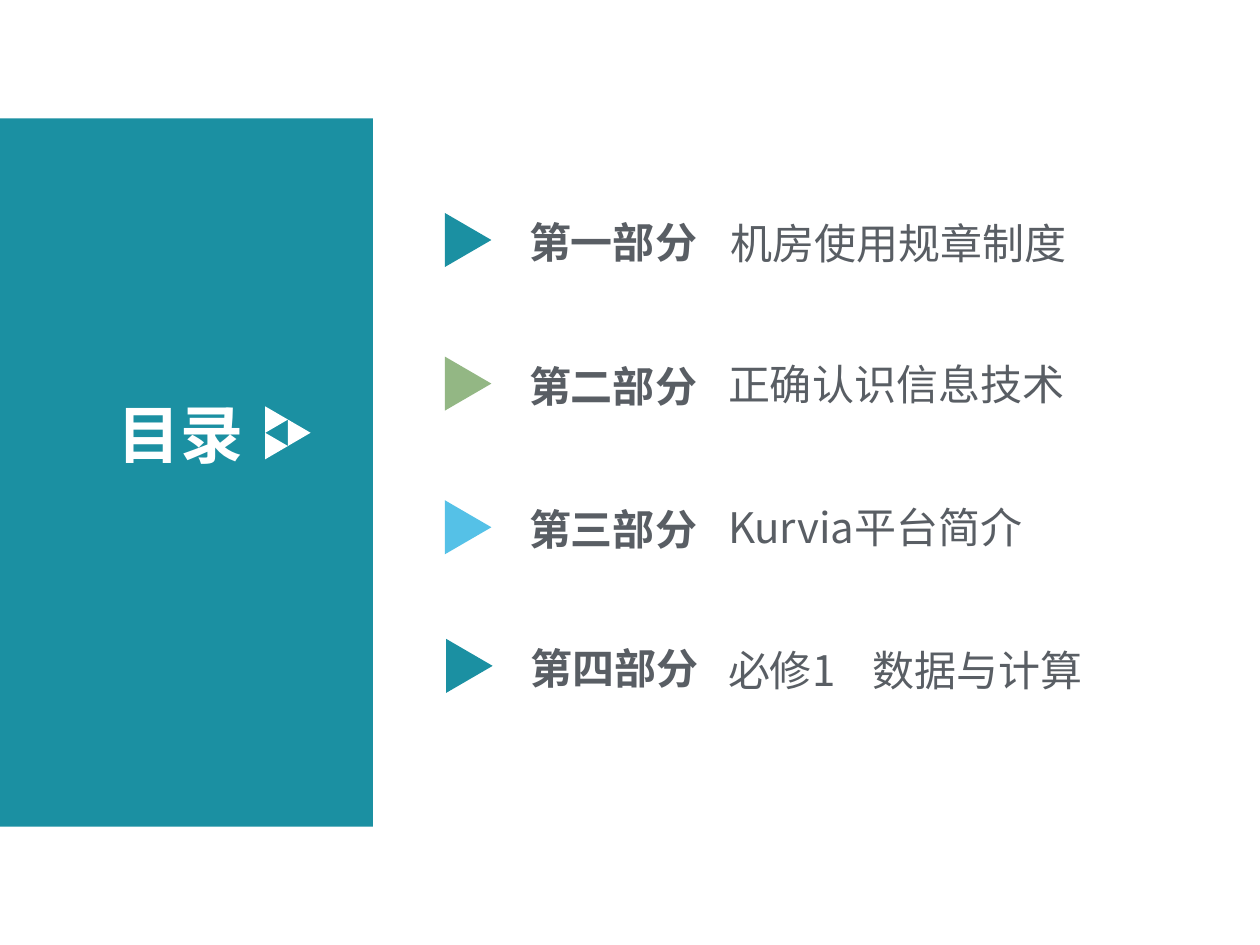
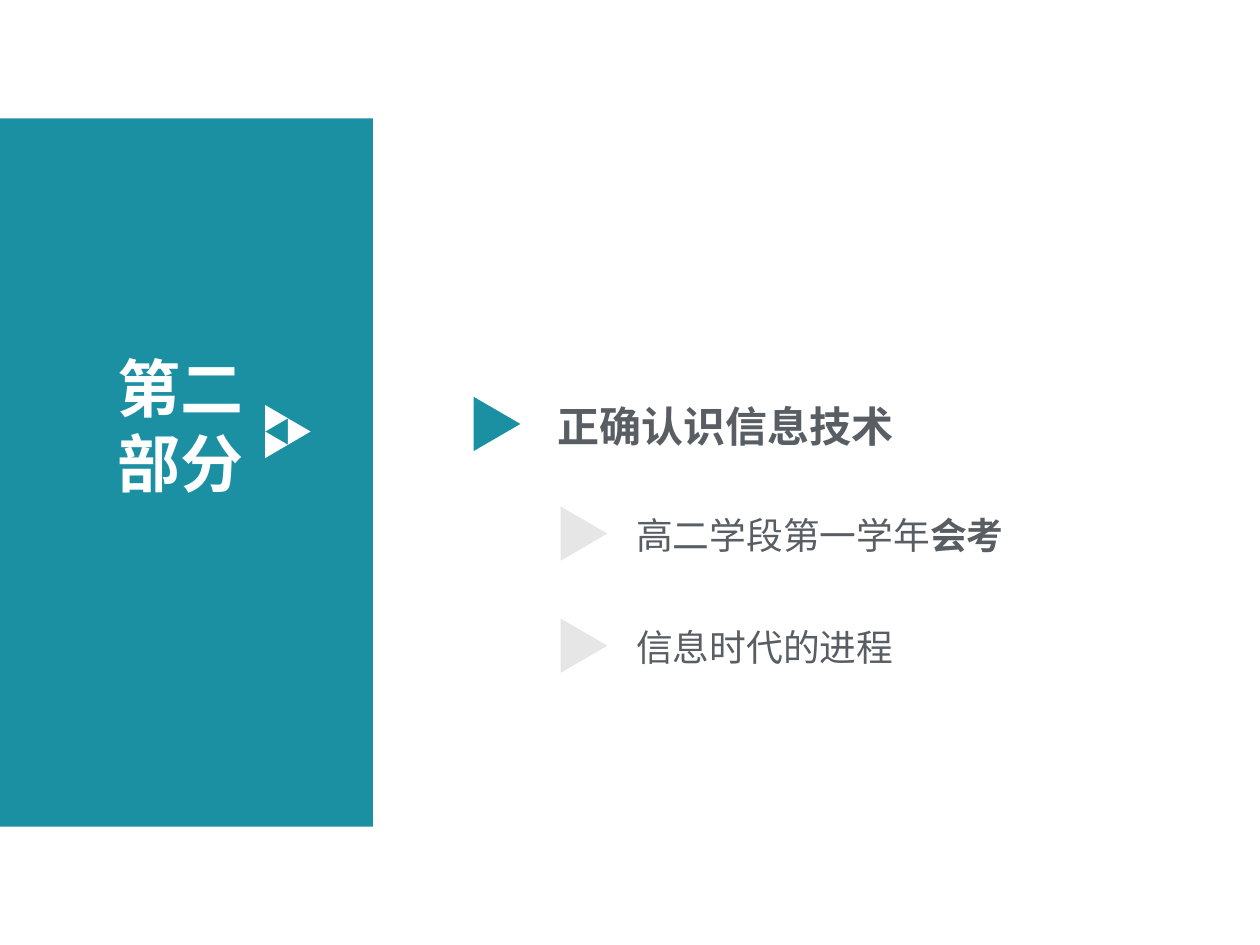
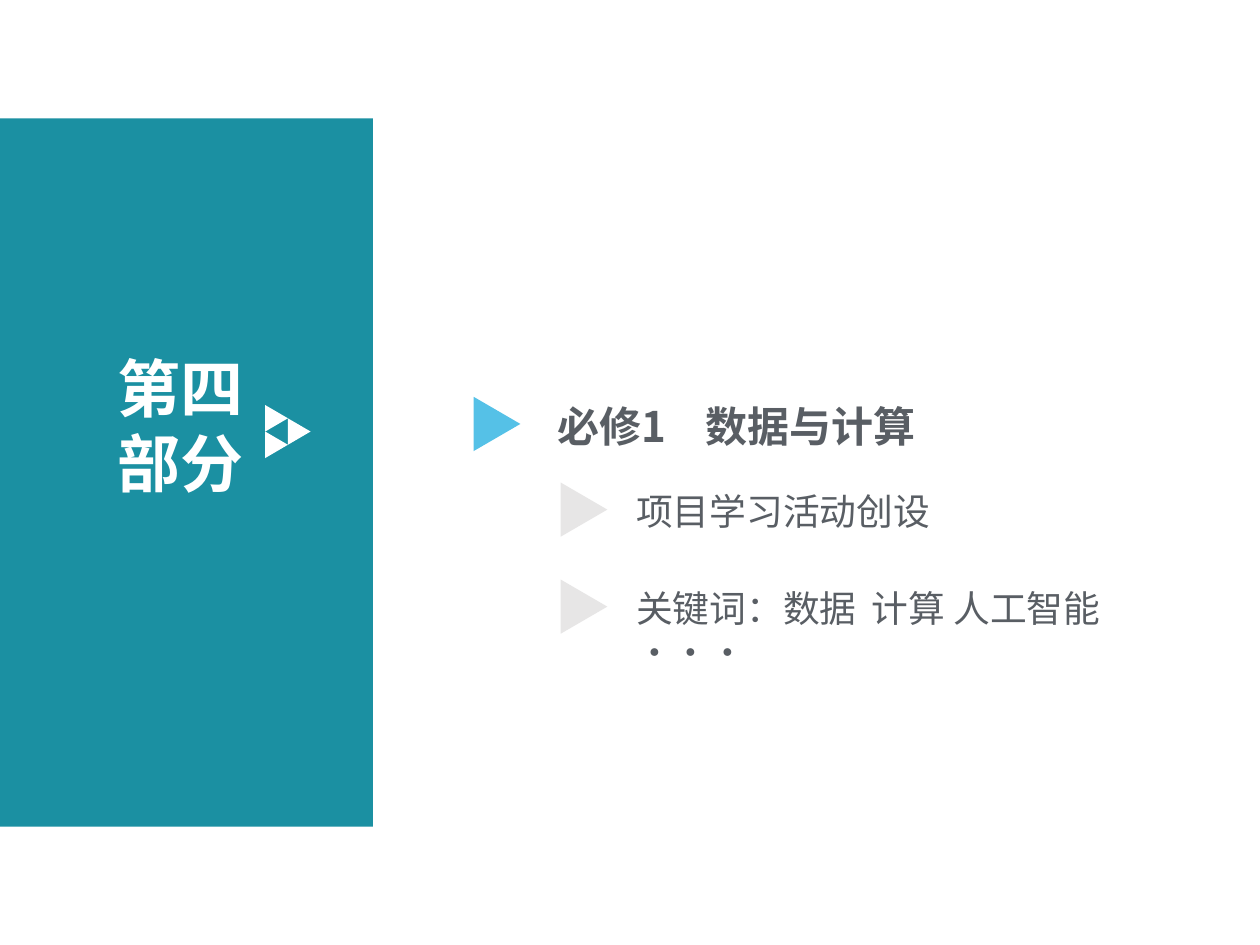
from dataclasses import dataclass

from lxml import etree
from pptx import Presentation
from pptx.dml.color import RGBColor
from pptx.enum.shapes import MSO_SHAPE
from pptx.enum.text import MSO_ANCHOR, MSO_AUTO_SIZE, PP_ALIGN
from pptx.oxml.ns import qn
from pptx.shapes.autoshape import Shape
from pptx.slide import Slide
from pptx.text.text import _Paragraph as Paragraph
from pptx.util import Inches, Pt

FONT = "Noto Sans CJK SC"
TEAL, GREEN, SKY = "1B90A2", "93B784", "55C1E7"
GREY, SLATE, WHITE = "E7E6E6", "595E64", "FFFFFF"


@dataclass
class Marker:
    """A right-pointing triangle, placed by its unrotated frame."""
    left: float
    top: float
    color: str
    width: float = 0.43
    height: float = 0.37


@dataclass
class Label:
    left: float
    top: float
    width: float
    text: str
    size: int = 24
    bold: bool = False
    bold_tail: str = ""
    tab_stop: float = 0


@dataclass
class Entry:
    marker: Marker
    labels: list[Label]


@dataclass
class Page:
    title: str
    title_top: float
    title_height: float
    emblem_top: float
    entries: list[Entry]


def rgb(color: str) -> RGBColor:
    return RGBColor.from_string(color)


def add_solid(slide: Slide, kind: MSO_SHAPE, left: float, top: float,
              width: float, height: float, color: str) -> Shape:
    shape = slide.shapes.add_shape(kind, Inches(left), Inches(top), Inches(width), Inches(height))
    shape.shadow.inherit = False
    shape.fill.solid()
    shape.fill.fore_color.rgb = rgb(color)
    shape.line.fill.background()
    return shape


def add_marker(slide: Slide, marker: Marker) -> None:
    triangle = add_solid(slide, MSO_SHAPE.ISOSCELES_TRIANGLE, marker.left, marker.top,
                         marker.width, marker.height, marker.color)
    triangle.rotation = 90


def format_runs(paragraph: Paragraph, size: int, color: str, bold: bool) -> None:
    for span in paragraph.runs:
        span.font.name = FONT
        span.font.size = Pt(size)
        span.font.bold = bold
        span.font.color.rgb = rgb(color)
        east_asian = etree.SubElement(span._r.get_or_add_rPr(), qn("a:ea"))
        east_asian.set("typeface", FONT)


def add_tab_stop(paragraph: Paragraph, position: float) -> None:
    tabs = etree.SubElement(paragraph._p.get_or_add_pPr(), qn("a:tabLst"))
    etree.SubElement(tabs, qn("a:tab"), pos=str(Inches(position)), algn="l")


def add_label(slide: Slide, label: Label) -> None:
    box = slide.shapes.add_textbox(Inches(label.left), Inches(label.top),
                                   Inches(label.width), Inches(0.5))
    box.text_frame.word_wrap = True
    para = box.text_frame.paragraphs[0]
    para.text = label.text
    if label.bold_tail:
        para.add_run().text = label.bold_tail
    format_runs(para, label.size, SLATE, label.bold)
    if label.bold_tail:
        para.runs[-1].font.bold = True
    if label.tab_stop:
        add_tab_stop(para, label.tab_stop)


def add_panel(slide: Slide) -> None:
    """Side band, sent behind the title."""
    panel = add_solid(slide, MSO_SHAPE.RECTANGLE, 0, 0.94, 2.96, 5.62, TEAL)
    panel.element.getparent().insert(2, panel.element)


def add_emblem(slide: Slide, top: float) -> None:
    width, height = 0.21, 0.18
    for column, row in ((0, 0), (0, 1), (1, 0.5)):
        add_marker(slide, Marker(2.09 + column * height, top + row * width, WHITE, width, height))


def set_title(slide: Slide, page: Page) -> None:
    title = slide.shapes.title
    title.left, title.top = Inches(0.83), Inches(page.title_top)
    title.width, title.height = Inches(1.31), Inches(page.title_height)
    frame = title.text_frame
    frame.text = page.title
    frame.word_wrap = True
    frame.auto_size = MSO_AUTO_SIZE.SHAPE_TO_FIT_TEXT
    frame.vertical_anchor = MSO_ANCHOR.TOP
    frame.paragraphs[0].alignment = PP_ALIGN.LEFT
    format_runs(frame.paragraphs[0], 36, WHITE, True)


def contents_entry(left: float, top: float, color: str, part: str, topic: Label) -> Entry:
    return Entry(Marker(left, top, color),
                 [Label(left + 0.6, top - 0.05, 1.59, part, bold=True), topic])


def heading_entry(color: str, text: str, tab_stop: float = 0) -> Entry:
    return Entry(Marker(3.73, 3.18, color),
                 [Label(4.33, 3.13, 4.3, text, bold=True, tab_stop=tab_stop)])


def detail_entry(top: float, text: str, bold_tail: str = "", tab_stop: float = 0) -> Entry:
    return Entry(Marker(4.42, top, GREY),
                 [Label(4.95, top - 0.03, 4.7, text, 21, False, bold_tail, tab_stop)])


def section_page(title: str, entries: list[Entry]) -> Page:
    return Page(title, 2.72, 1.31, 3.23, entries)


PAGES = [
    Page("目录", 3.09, 0.7, 3.24, [
        contents_entry(3.5, 1.72, TEAL, "第一部分", Label(5.7, 1.68, 3.64, "机房使用规章制度")),
        contents_entry(3.5, 2.86, GREEN, "第二部分", Label(5.68, 2.8, 3.64, "正确认识信息技术")),
        contents_entry(3.5, 4, SKY, "第三部分", Label(5.68, 3.93, 3.64, "Kurvia平台简介")),
        contents_entry(3.51, 5.1, TEAL, "第四部分",
                       Label(5.68, 5.07, 4.03, "必修1\t数据与计算", tab_stop=1.15)),
    ]),
    section_page("第二部分", [
        heading_entry(TEAL, "正确认识信息技术"),
        detail_entry(4.05, "高二学段第一学年", bold_tail="会考"),
        detail_entry(4.94, "信息时代的进程"),
    ]),
    section_page("第四部分", [
        heading_entry(SKY, "必修1\t数据与计算", tab_stop=1.17),
        detail_entry(3.86, "项目学习活动创设"),
        detail_entry(4.63, "关键词：数据\t计算 人工智能···", tab_stop=1.87),
    ]),
]


def main() -> None:
    deck = Presentation()
    deck.slide_width, deck.slide_height = Inches(10), Inches(7.5)
    title_only = deck.slide_layouts[5]
    for page in PAGES:
        slide = deck.slides.add_slide(title_only)
        set_title(slide, page)
        add_panel(slide)
        add_emblem(slide, page.emblem_top)
        for entry in page.entries:
            add_marker(slide, entry.marker)
            for label in entry.labels:
                add_label(slide, label)
    deck.save("out.pptx")


if __name__ == "__main__":
    main()
